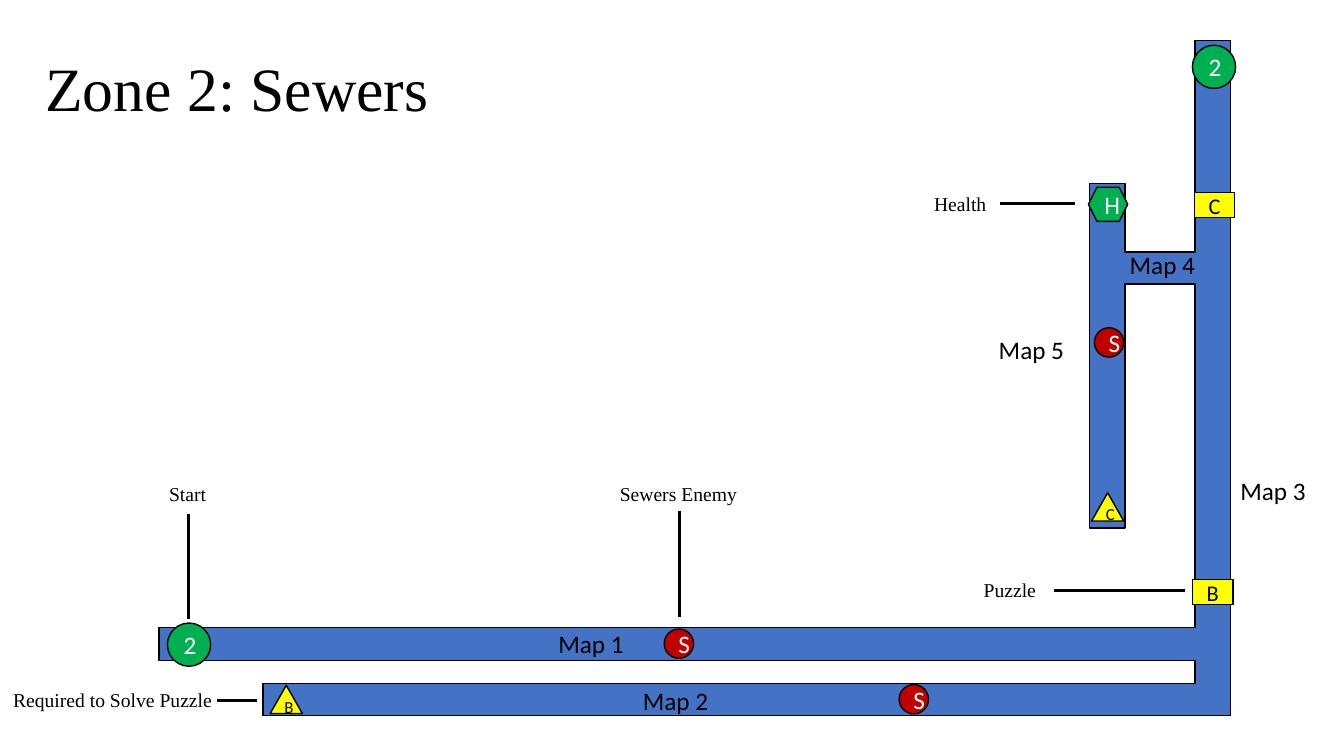
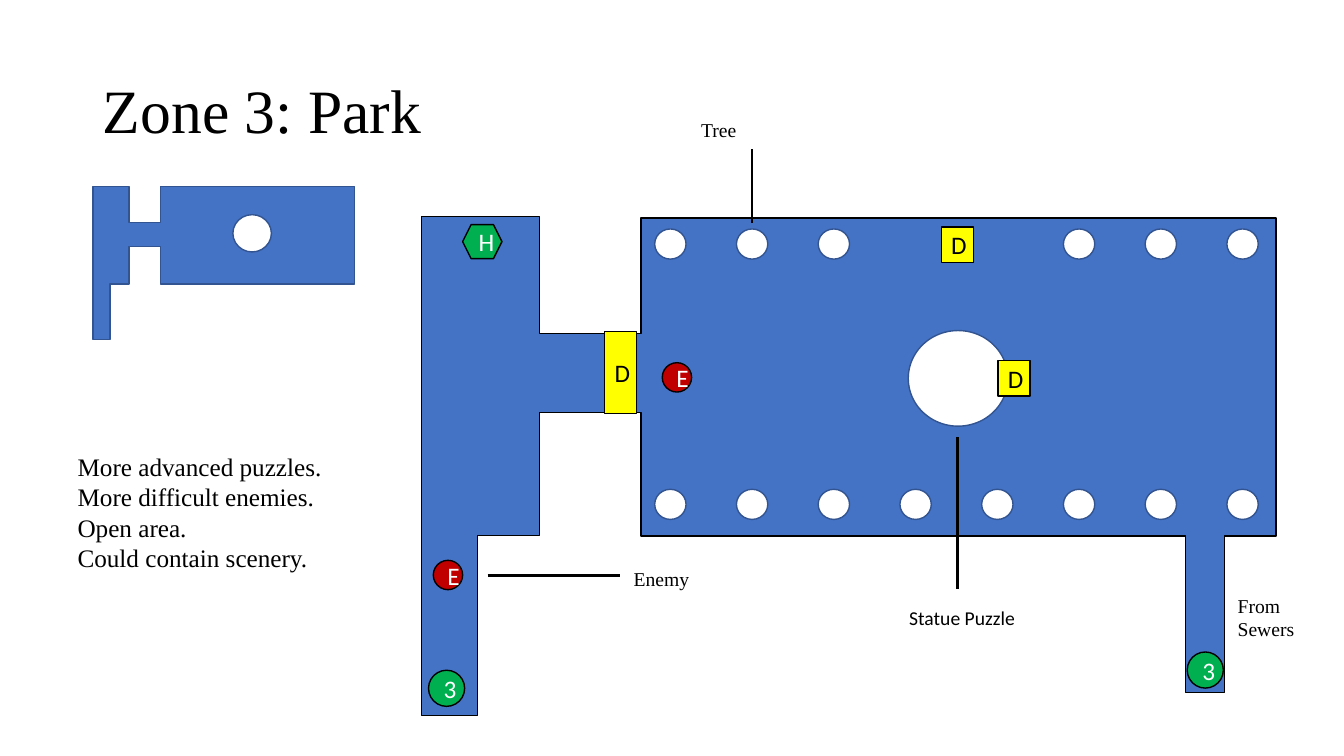
"""Build two slides with the zone maps of a game."""
from dataclasses import dataclass

from lxml.etree import SubElement
from pptx import Presentation
from pptx.dml.color import RGBColor
from pptx.enum.shapes import MSO_CONNECTOR, MSO_SHAPE
from pptx.enum.text import MSO_ANCHOR, MSO_AUTO_SIZE, PP_ALIGN
from pptx.oxml.ns import qn
from pptx.util import Cm, Pt


@dataclass(frozen=True)
class Theme:
    """Colours, fonts and type sizes of the deck."""
    black: str = "000000"
    white: str = "FFFFFF"
    floor: str = "4472C4"
    edge: str = "325491"
    green: str = "00B050"
    yellow: str = "FFFF00"
    red: str = "C00000"
    serif: str = "Times New Roman"
    sans: str = "Calibri"
    title: int = 44
    body: int = 18
    door: int = 16
    label: int = 14
    key: int = 12
    outline: int = 1
    pointer: int = 2


T = Theme()


def write(tf, text, font=T.sans, size=T.body, color=T.black,
          align=PP_ALIGN.LEFT, anchor=MSO_ANCHOR.TOP, spacing=None):
    """Fill a text frame, one paragraph for each line of text."""
    tf.word_wrap = True
    tf.vertical_anchor = anchor
    for i, line in enumerate(text.split("\n")):
        p = tf.paragraphs[0] if i == 0 else tf.add_paragraph()
        p.alignment = align
        p.space_before = Pt(0)
        p.line_spacing = spacing
        r = p.add_run()
        r.text = line
        r.font.name = font
        r.font.size = Pt(size)
        r.font.color.rgb = RGBColor.from_string(color)


def place(sp, x, y, w, h):
    """Move and size a shape in centimetres."""
    sp.left, sp.top, sp.width, sp.height = Cm(x), Cm(y), Cm(w), Cm(h)


class MapDeck:
    """Holds the presentation, its style and the current slide."""

    def __init__(self, theme):
        """Start an empty widescreen presentation."""
        self.t = theme
        self.prs = Presentation()
        self.prs.slide_width, self.prs.slide_height = Cm(33.87), Cm(19.05)
        self.s = None

    def slide(self, title, x, y, layout):
        """Add a slide and place its title."""
        self.s = self.prs.slides.add_slide(self.prs.slide_layouts[layout])
        sp = self.s.shapes.title
        place(sp, x, y, 29.21, 3.68)
        sp.text_frame.auto_size = MSO_AUTO_SIZE.NONE
        write(sp.text_frame, title, font=self.t.serif, size=self.t.title,
              anchor=MSO_ANCHOR.MIDDLE, spacing=0.9)

    def body(self, text, x, y, w, h):
        """Set the body placeholder as a list without bullets."""
        sp = self.s.placeholders[1]
        place(sp, x, y, w, h)
        sp.text_frame.auto_size = MSO_AUTO_SIZE.NONE
        write(sp.text_frame, text, font=self.t.serif)
        for p in sp.text_frame.paragraphs:
            pPr = p._p.get_or_add_pPr()
            pPr.set("marL", "0")
            pPr.set("indent", "0")
            SubElement(pPr, qn("a:buNone"))

    def paint(self, sp, fill, line):
        """Give a shape its fill and outline."""
        sp.shadow.inherit = False
        sp.fill.solid()
        sp.fill.fore_color.rgb = RGBColor.from_string(fill)
        sp.line.color.rgb = RGBColor.from_string(line)
        sp.line.width = Pt(self.t.outline)

    def floor(self, points, line=T.black):
        """Draw the outline of the walkable area."""
        start, *rest = [(Cm(x), Cm(y)) for x, y in points]
        fb = self.s.shapes.build_freeform(*start)
        fb.add_line_segments(rest, close=True)
        self.paint(fb.convert_to_shape(), self.t.floor, line)

    def marker(self, kind, x, y, w, h, fill, text="", line=T.black,
               color=T.black, size=T.body):
        """Add a preset shape with a centred letter."""
        sp = self.s.shapes.add_shape(kind, Cm(x), Cm(y), Cm(w), Cm(h))
        self.paint(sp, fill, line)
        if text:
            write(sp.text_frame, text, color=color, size=size,
                  align=PP_ALIGN.CENTER, anchor=MSO_ANCHOR.MIDDLE)

    def portal(self, text, x, y, d):
        """Add a zone entrance or exit."""
        self.marker(MSO_SHAPE.OVAL, x, y, d, d, self.t.green, text,
                    color=self.t.white)

    def enemy(self, text, x, y):
        """Add an enemy."""
        self.marker(MSO_SHAPE.OVAL, x, y, 0.74, 0.74, self.t.red, text,
                    color=self.t.white)

    def health(self, x, y):
        """Add a health point."""
        self.marker(MSO_SHAPE.HEXAGON, x, y, 0.99, 0.86, self.t.green, "H",
                    color=self.t.white)

    def door(self, text, x, y, w=0.81, h=0.89, size=T.body):
        """Add a puzzle door."""
        self.marker(MSO_SHAPE.RECTANGLE, x, y, w, h, self.t.yellow, text,
                    size=size)

    def key(self, text, x, y):
        """Add an item that solves a puzzle."""
        self.marker(MSO_SHAPE.ISOSCELES_TRIANGLE, x, y, 0.81, 0.71,
                    self.t.yellow, text, size=self.t.key)

    def hole(self, x, y, w=0.79, h=0.76):
        """Add a white obstacle such as a tree or statue."""
        self.marker(MSO_SHAPE.OVAL, x, y, w, h, self.t.white,
                    line=self.t.edge)

    def pointer(self, x1, y1, x2, y2):
        """Draw a line from a label to its subject."""
        c = self.s.shapes.add_connector(MSO_CONNECTOR.STRAIGHT, Cm(x1),
                                        Cm(y1), Cm(x2), Cm(y2))
        c.line.color.rgb = RGBColor.from_string(self.t.black)
        c.line.width = Pt(self.t.pointer)
        SubElement(c._element.spPr, qn("a:effectLst"))

    def label(self, text, x, y, w, h=0.86, font=T.serif, size=T.label):
        """Add a text box."""
        sp = self.s.shapes.add_textbox(Cm(x), Cm(y), Cm(w), Cm(h))
        sp.text_frame.auto_size = MSO_AUTO_SIZE.SHAPE_TO_FIT_TEXT
        write(sp.text_frame, text, font=font, size=size)


def sewers(d):
    """Build the sewers slide."""
    d.slide("Zone 2: Sewers", 0.89, 0.46, layout=5)
    d.floor([(30.12, 1.02), (31.01, 1.02), (31.01, 18.03), (6.63, 18.03),
             (6.63, 17.22), (30.12, 17.22), (30.12, 16.64), (4.01, 16.64),
             (4.01, 15.82), (30.12, 15.82), (30.12, 7.16), (28.35, 7.16),
             (28.35, 13.31), (27.46, 13.31), (27.46, 4.62), (28.35, 4.62),
             (28.35, 6.35), (30.12, 6.35)])
    for x, y in [(4.22, 15.7), (30.05, 1.14)]:
        d.portal("2", x, y, 1.09)
    for text, x, y in [("B", 30.05, 14.6), ("C", 30.1, 4.85)]:
        d.door(text, x, y, 1.02, 0.64, size=d.t.door)
    for text, x, y in [("B", 6.81, 17.27), ("C", 27.51, 12.42)]:
        d.key(text, x, y)
    for x, y in [(16.74, 15.85), (27.58, 8.26), (22.66, 17.25)]:
        d.enemy("S", x, y)
    d.health(27.43, 4.72)
    for ends in [(4.75, 15.6, 4.75, 12.95), (26.57, 14.88, 29.87, 14.88),
                 (5.46, 17.65, 6.48, 17.65), (17.12, 15.54, 17.12, 12.88),
                 (25.2, 5.13, 27.08, 5.13)]:
        d.pointer(*ends)
    for text, x, y, w in [("Start", 4.01, 12.01, 1.6),
                          ("Puzzle", 24.54, 14.45, 1.95),
                          ("Required to Solve Puzzle", 0.08, 17.2, 5.7),
                          ("Sewers Enemy", 15.37, 12.01, 3.6),
                          ("Health", 23.29, 4.7, 1.95)]:
        d.label(text, x, y, w)
    spots = [(13.82, 15.7), (15.95, 17.15), (31.01, 11.86), (28.22, 6.17),
             (24.92, 8.31)]
    for i, (x, y) in enumerate(spots, 1):
        d.label(f"Map {i}", x, y, 2.54, 1.02, d.t.sans, d.t.body)


def park(d):
    """Build the park slide."""
    d.slide("Zone 3: Park", 2.34, 1.02, layout=1)
    d.floor([(10.62, 5.46), (13.59, 5.46), (13.59, 8.41), (16.15, 8.41),
             (16.15, 5.49), (32.16, 5.49), (32.16, 13.51), (30.86, 13.51),
             (30.86, 17.45), (29.87, 17.45), (29.87, 13.51), (16.15, 13.51),
             (16.15, 10.39), (13.59, 10.39), (13.59, 13.49), (12.04, 13.49),
             (12.04, 18.03), (10.62, 18.03)])
    d.floor([(2.34, 4.7), (3.25, 4.7), (3.25, 5.61), (4.04, 5.61),
             (4.04, 4.7), (8.94, 4.7), (8.94, 7.16), (4.04, 7.16),
             (4.04, 6.22), (3.25, 6.22), (3.25, 7.16), (2.77, 7.16),
             (2.77, 8.56), (2.34, 8.56)], line=d.t.edge)
    d.hole(5.87, 5.41, 0.97, 0.94)
    d.hole(22.89, 8.33, 2.51, 2.41)
    for y, columns in [(12.33, range(8)), (5.77, (0, 1, 2, 5, 6, 7))]:
        for i in columns:
            d.hole(16.5 + 2.06 * i, y)
    d.door("D", 15.24, 8.36, h=2.06)
    for x, y in [(25.15, 9.09), (23.72, 5.72)]:
        d.door("D", x, y)
    for x, y in [(16.69, 9.14), (10.92, 14.12)]:
        d.enemy("E", x, y)
    for x, y in [(29.92, 16.43), (10.8, 16.89)]:
        d.portal("3", x, y, 0.91)
    d.health(11.66, 5.66)
    for ends in [(12.29, 14.5, 15.62, 14.5), (18.95, 3.76, 18.95, 5.61),
                 (24.13, 11.02, 24.13, 14.83)]:
        d.pointer(*ends)
    d.label("Enemy", 15.72, 14.15, 2.1)
    d.label("From\nSewers", 30.94, 14.83, 2.1, 1.45)
    d.label("Tree", 17.42, 2.84, 1.7)
    d.label("Statue Puzzle", 22.66, 15.14, 3.4, font=d.t.sans)
    d.body("More advanced puzzles.\nMore difficult enemies.\nOpen area.\n"
           "Could contain scenery.", 1.7, 11.25, 8.1, 3.33)


def main():
    """Build and save the deck."""
    d = MapDeck(T)
    sewers(d)
    park(d)
    d.prs.save("out.pptx")


if __name__ == "__main__":
    main()
